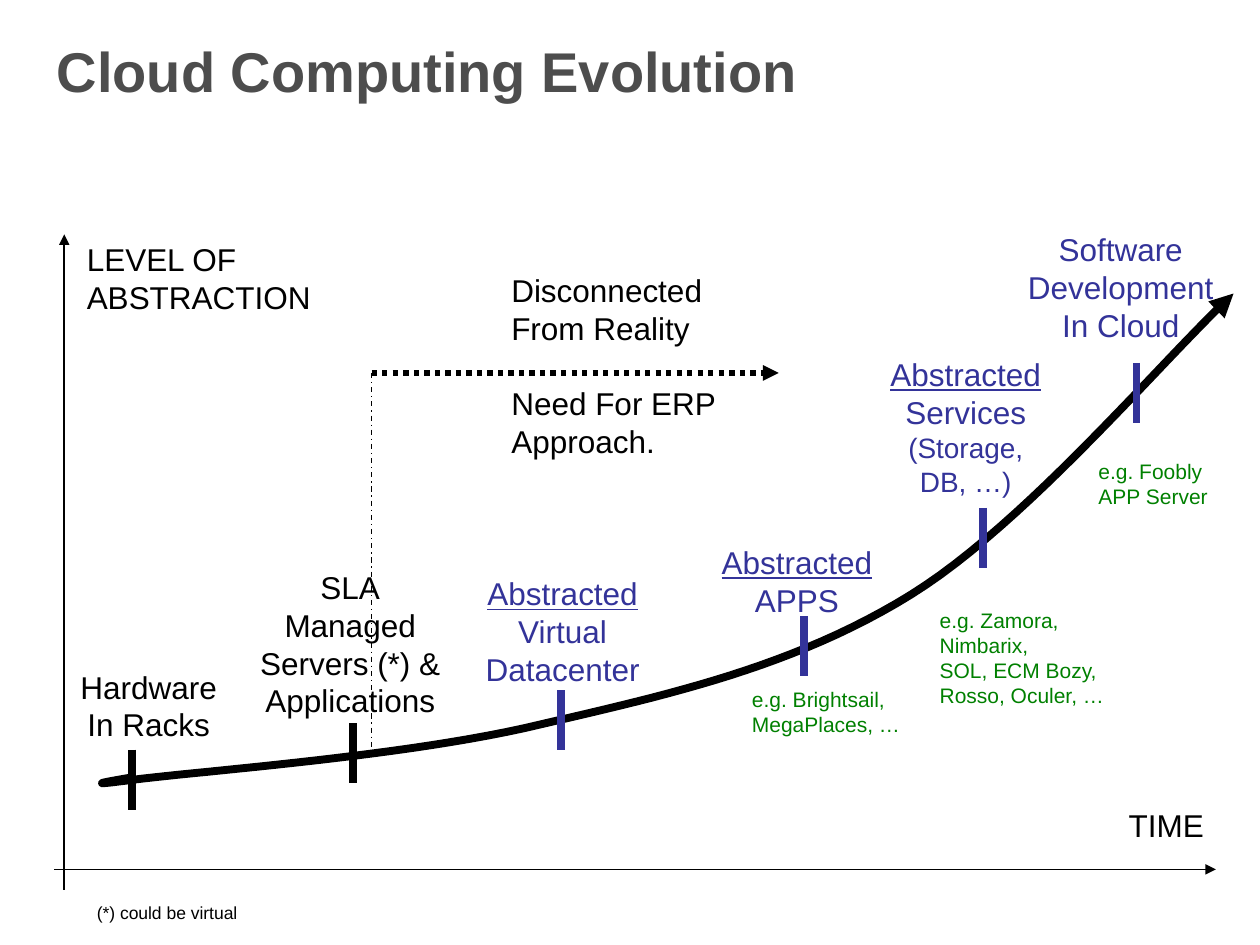
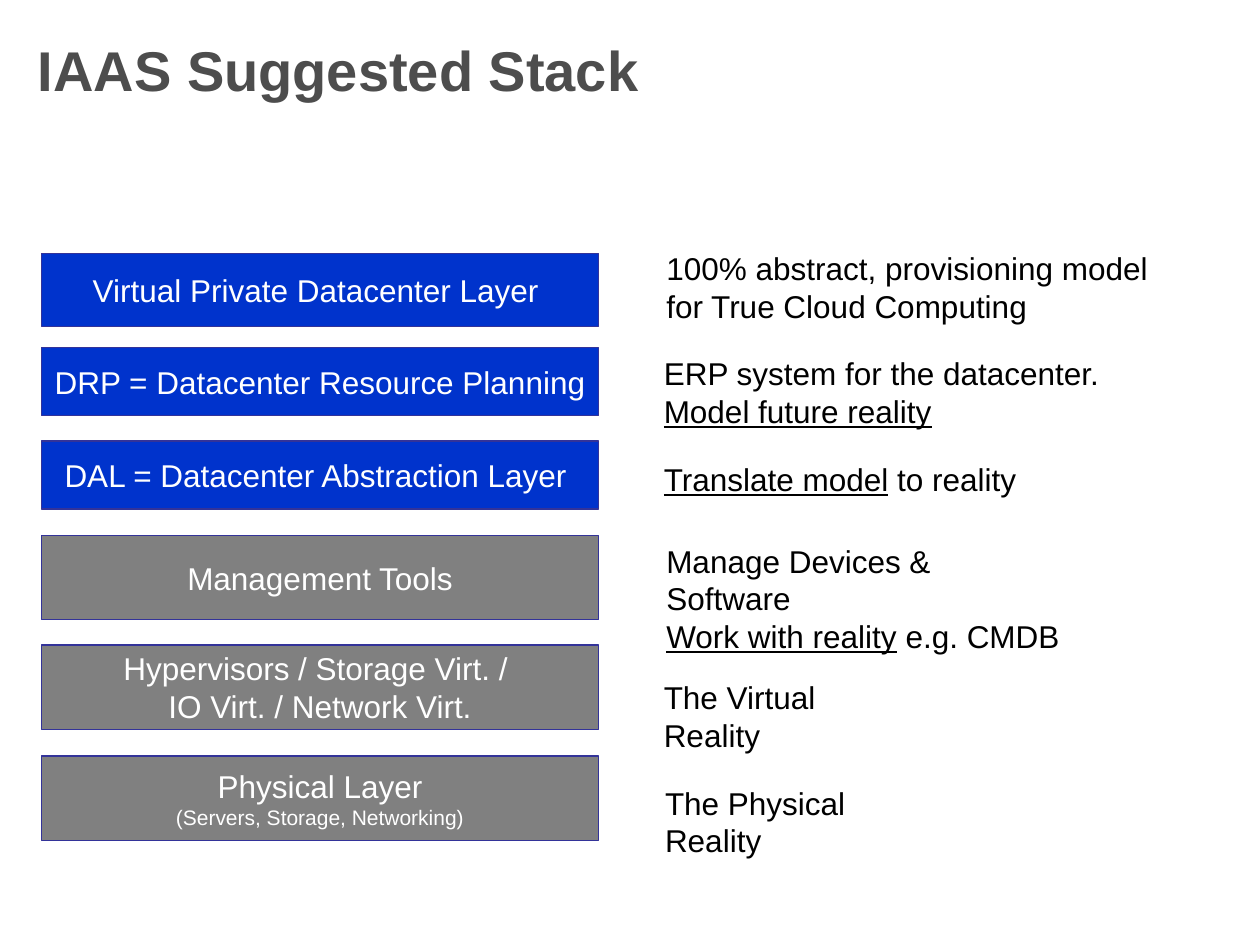
from pptx import Presentation
from pptx.dml.color import RGBColor
from pptx.enum.dml import MSO_LINE
from pptx.enum.shapes import MSO_CONNECTOR, MSO_SHAPE
from pptx.enum.text import MSO_ANCHOR, MSO_AUTO_SIZE, PP_ALIGN
from pptx.oxml.ns import qn
from pptx.util import Inches, Pt
from lxml.etree import SubElement

# Shared look; the slide is a grid of 100 columns by 75 rows
FONT = "Arial"
TITLE_GREY = RGBColor(0x4D, 0x4D, 0x4D)
BLACK = RGBColor(0, 0, 0)
WHITE = RGBColor(255, 255, 255)
INDIGO = RGBColor(0x33, 0x33, 0x99)
GREEN = RGBColor(0, 0x80, 0)
BLUE = RGBColor(0, 0x33, 0xCC)
GREY = RGBColor(0x80, 0x80, 0x80)
CELL = Inches(0.1)
COLUMNS, ROWS = 100, 75
UNDERLINED = {"underline": True}


def grid(*cells):
    return [round(cell * CELL) for cell in cells]


def write(frame, lines, size=18, color=BLACK, align=PP_ALIGN.LEFT, bold=False):
    """Each line is a string or a list of (text, format) runs."""
    for index, line in enumerate(lines):
        paragraph = frame.paragraphs[0] if index == 0 else frame.add_paragraph()
        paragraph.alignment = align
        runs = [(line, {})] if isinstance(line, str) else line
        for text, changes in runs:
            run = paragraph.add_run()
            run.text = text
            run.font.name = FONT
            run.font.size = Pt(changes.get("size", size))
            run.font.color.rgb = color
            run.font.bold = bold
            run.font.underline = changes.get("underline", False)


def add_label(slide, box, lines, **text_format):
    frame = slide.shapes.add_textbox(*grid(*box)).text_frame
    frame.word_wrap = True
    write(frame, lines, **text_format)
    return frame


def add_titled_slide(deck, title, box):
    slide = deck.slides.add_slide(deck.slide_layouts[5])
    heading = slide.shapes.title
    heading.left, heading.top, heading.width, heading.height = grid(*box)
    frame = heading.text_frame
    frame.auto_size = MSO_AUTO_SIZE.NONE
    frame.vertical_anchor = MSO_ANCHOR.MIDDLE
    write(frame, [title], size=32, color=TITLE_GREY, bold=True)
    return slide


def style_line(shape, width, color=BLACK, dash=None, arrow=False):
    shape.line.color.rgb = color
    shape.line.width = Pt(width)
    if dash:
        shape.line.dash_style = dash
    if arrow:
        outline = shape._element.spPr.find(qn("a:ln"))
        SubElement(outline, qn("a:tailEnd"), type="triangle")


def add_line(slide, start, end, width, **line_format):
    line = slide.shapes.add_connector(MSO_CONNECTOR.STRAIGHT, *grid(*start, *end))
    style_line(line, width, **line_format)
    SubElement(line._element.spPr, qn("a:effectLst"))


def bezier_points(start, segments, steps=24):
    points = [start]
    for first, second, end in segments:
        for step in range(1, steps + 1):
            t = step / steps
            weights = ((1 - t) ** 3, 3 * t * (1 - t) ** 2, 3 * t * t * (1 - t), t ** 3)
            corners = (start, first, second, end)
            points.append(tuple(sum(w * corner[axis] for w, corner in zip(weights, corners))
                                for axis in (0, 1)))
        start = end
    return points


def add_curve(slide, start, segments, width):
    points = [grid(*point) for point in bezier_points(start, segments)]
    builder = slide.shapes.build_freeform(*points[0])
    builder.add_line_segments(points[1:], close=False)
    curve = builder.convert_to_shape()
    curve.fill.background()
    curve.shadow.inherit = False
    style_line(curve, width, arrow=True)


def add_layer(slide, box, lines, fill):
    layer = slide.shapes.add_shape(MSO_SHAPE.RECTANGLE, *grid(*box))
    layer.shadow.inherit = False
    layer.fill.solid()
    layer.fill.fore_color.rgb = fill
    style_line(layer, 0.75, color=INDIGO)
    frame = layer.text_frame
    frame.word_wrap = False
    frame.vertical_anchor = MSO_ANCHOR.MIDDLE
    write(frame, lines, color=WHITE, align=PP_ALIGN.CENTER)


def build_evolution(deck):
    slide = add_titled_slide(deck, "Cloud Computing Evolution", (3.5, -0.2, 74.8, 11.5))

    # Growth curve
    add_curve(slide, (10.5, 61.7), [
        ((10.5, 61.7), (5.1, 62.6), (10.5, 61.9)),
        ((15.9, 61.2), (32.6, 60), (42.9, 57.5)),
        ((53.2, 55.1), (63.1, 52.9), (72.3, 47.2)),
        ((81.5, 41.5), (92.5, 28.3), (97.9, 23.3)),
    ], 4.5)

    # Milestones: label box, lines, colour, tick column and row
    abstracted = [("Abstracted", UNDERLINED)]
    small = {"size": 16}
    milestones = [
        ((5.1, 52.5, 13.4, 10), ["Hardware", "In Racks"], BLACK, 10.5, 59.5),
        ((19.3, 44.6, 17, 19), ["SLA", "Managed", "Servers (*) &", "Applications"],
         BLACK, 28, 57.4),
        ((36.6, 45.1, 16.1, 16), [abstracted, "Virtual", "Datacenter"], INDIGO, 44.5, 54.8),
        ((55.2, 42.6, 16.1, 13), [abstracted, "APPS"], INDIGO, 63.8, 48.9),
        ((68.6, 27.7, 16.1, 17.7),
         [abstracted, "Services", [("(Storage,", small)], [("DB, …)", small)]],
         INDIGO, 78, 40.3),
        ((79.1, 17.8, 19.7, 15.4), ["Software", "Development", "In Cloud"],
         INDIGO, 90.2, 28.8),
    ]
    for box, lines, color, column, row in milestones:
        add_label(slide, box, lines, color=color, align=PP_ALIGN.CENTER)
        add_line(slide, (column, row), (column, row + 4.75), 4.5, color=color)

    # Axes
    add_line(slide, (4.3, 69), (96.5, 69), 1, arrow=True)
    add_line(slide, (5.1, 70.6), (5.1, 18.6), 1, arrow=True)
    add_label(slide, (5.9, 18.6, 20.2, 7), ["LEVEL OF", "ABSTRACTION"])
    add_label(slide, (88.6, 63.5, 9, 4), ["TIME"])

    # Break from reality
    corner = (29.5, 29.6)
    add_line(slide, corner, (61.8, 29.6), 3, dash=MSO_LINE.ROUND_DOT, arrow=True)
    add_line(slide, corner, (29.5, 59.5), 0.75, dash=MSO_LINE.DASH_DOT)
    gap = add_label(slide, (39.6, 21, 20, 16),
                    ["Disconnected", "From Reality", "Need For ERP", "Approach."])
    gap.paragraphs[2].space_before = Pt(21.5)

    # Example vendors
    examples = [
        ((86.2, 35.9, 13, 5), ["e.g. Foobly", "APP Server"]),
        ((73.6, 47.7, 16, 11),
         ["e.g. Zamora,", "Nimbarix,", "SOL, ECM Bozy,", "Rosso, Oculer, …"]),
        ((58.7, 54, 15, 7), ["e.g. Brightsail,", "MegaPlaces, …"]),
    ]
    for box, lines in examples:
        add_label(slide, box, lines, size=12, color=GREEN)

    add_label(slide, (6.7, 71.1, 15, 2.7), ["(*) could be virtual"], size=10)


def build_stack(deck):
    slide = add_titled_slide(deck, "IAAS Suggested Stack", (2, 1.3, 96.1, 8.4))

    # Layers: top row, height, fill, lines, then the note's left, top and lines
    layers = [
        (20.1, 5.8, BLUE, ["Virtual Private Datacenter Layer "], 51.9, 19.3,
         ["100% abstract, provisioning model", "for True Cloud Computing"]),
        (27.6, 5.4, BLUE, ["DRP = Datacenter Resource Planning"], 51.7, 27.6,
         ["ERP system for the datacenter.", [("Model future reality", UNDERLINED)]]),
        (35, 5.4, BLUE, ["DAL = Datacenter Abstraction Layer "], 51.7, 36,
         [[("Translate model", UNDERLINED), (" to reality", {})]]),
        (42.5, 6.7, GREY, ["Management Tools"], 51.9, 42.5,
         ["Manage Devices &", "Software",
          [("Work with reality", UNDERLINED), (" e.g. CMDB", {})]]),
        (51.2, 6.7, GREY, ["Hypervisors / Storage Virt. / ", "IO Virt. / Network Virt."],
         51.7, 53.3, ["The Virtual", "Reality"]),
        (60, 6.7, GREY,
         ["Physical Layer", [("(Servers, Storage, Networking)", {"size": 12})]],
         51.8, 61.7, ["The Physical", "Reality"]),
    ]
    for top, height, fill, lines, note_left, note_top, note in layers:
        add_layer(slide, (3.3, top, 44.2, height), lines, fill)
        add_label(slide, (note_left, note_top, 42, 3 * len(note) + 1), note)


def main():
    deck = Presentation()
    deck.slide_width, deck.slide_height = grid(COLUMNS, ROWS)
    build_evolution(deck)
    build_stack(deck)
    deck.save("out.pptx")


if __name__ == "__main__":
    main()
